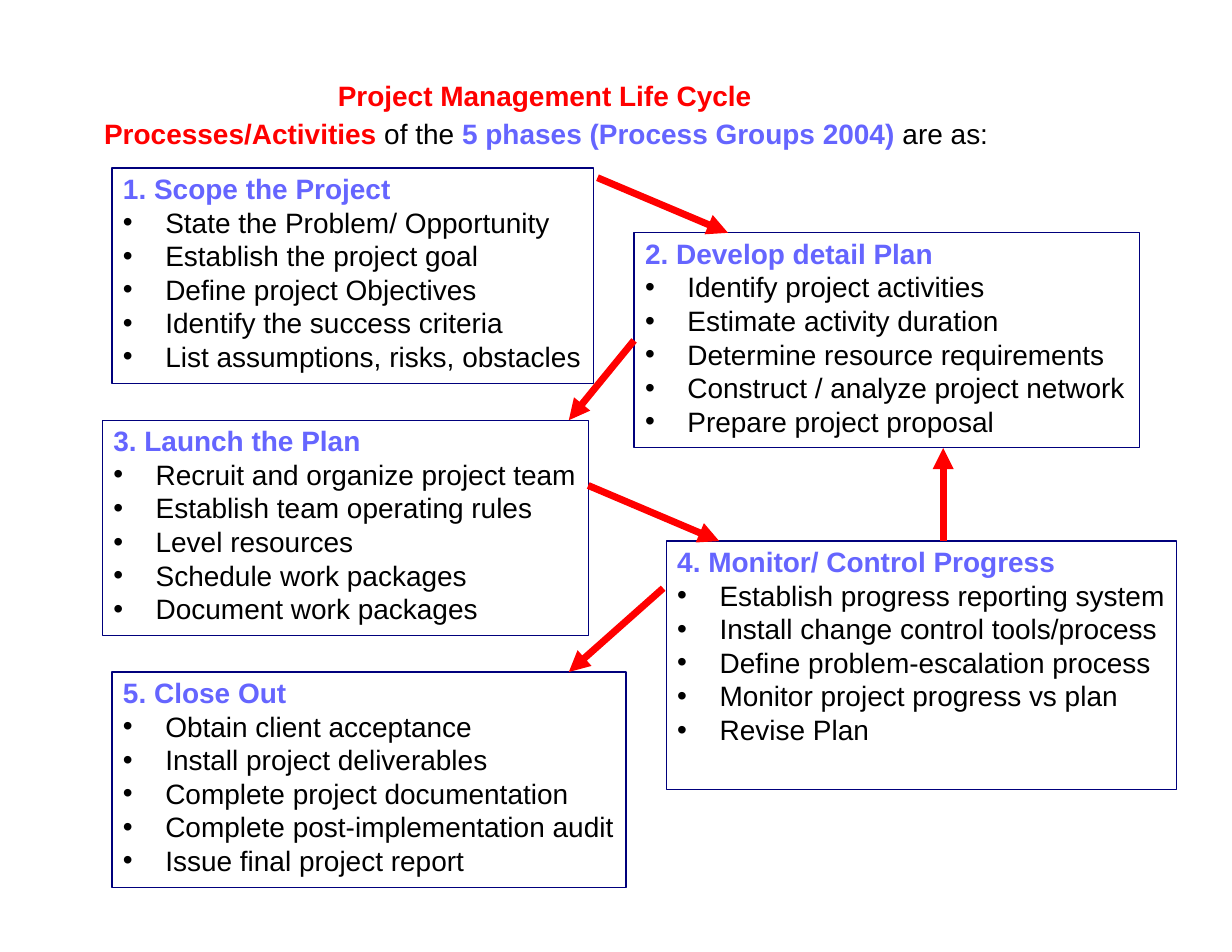
from dataclasses import dataclass

from lxml.etree import SubElement
from pptx import Presentation
from pptx.dml.color import RGBColor
from pptx.enum.shapes import MSO_CONNECTOR, MSO_SHAPE
from pptx.enum.text import MSO_ANCHOR, MSO_AUTO_SIZE, PP_ALIGN
from pptx.oxml.ns import qn
from pptx.util import Cm, Pt

RED, VIOLET, NAVY, BLACK = "FF0000", "6565FF", "00007C", "000000"
BULLET_INDENT = 0.96
BOX_HEIGHT = 4.88


@dataclass
class Phase:
    heading: str
    activities: list[str]
    left: float
    top: float
    width: float
    height: float = BOX_HEIGHT


@dataclass
class Arrow:
    start: tuple[float, float]
    end: tuple[float, float]
    from_phase: int | None = None
    side: int = 1


PHASES = [
    Phase("1. Scope the Project", [
        "State the Problem/ Opportunity",
        "Establish the project goal",
        "Define project Objectives",
        "Identify the success criteria",
        "List assumptions, risks, obstacles",
    ], 2.54, 3.81, 10.92),
    Phase("2. Develop detail Plan", [
        "Identify project activities",
        "Estimate activity duration",
        "Determine resource requirements",
        "Construct / analyze project network",
        "Prepare project proposal",
    ], 14.38, 5.28, 11.46),
    Phase("3. Launch the Plan", [
        "Recruit and organize project team",
        "Establish team operating rules",
        "Level resources",
        "Schedule work packages",
        "Document work packages",
    ], 2.32, 9.53, 11.03),
    Phase("4. Monitor/ Control Progress", [
        "Establish progress reporting system",
        "Install change control tools/process",
        "Define problem-escalation process",
        "Monitor project progress vs plan",
        "Revise Plan",
    ], 15.11, 12.27, 11.57, 5.64),
    Phase("5. Close Out", [
        "Obtain client acceptance",
        "Install project deliverables",
        "Complete project documentation",
        "Complete post-implementation audit",
        "Issue final project report",
    ], 2.54, 15.24, 11.66),
]

ARROWS = [
    Arrow((13.55, 4.03), (16.51, 5.28)),
    Arrow((14.38, 7.72), (12.9, 9.53), from_phase=1),
    Arrow((13.34, 11.01), (16.31, 12.27)),
    Arrow((15.04, 13.34), (12.9, 15.24)),
    Arrow((21.39, 12.27), (21.39, 10.16)),
]


def rgb(value: str) -> RGBColor:
    return RGBColor.from_string(value)


def add_run(paragraph, text: str, *, color=BLACK, bold=False) -> None:
    run = paragraph.add_run()
    run.text = text
    run.font.name = "Arial"
    run.font.size = Pt(18)
    run.font.bold = bold
    run.font.color.rgb = rgb(color)


def set_paragraph(paragraph, *, spacing: float, indent=0.0, first_line=0.0, bullet=False) -> None:
    properties = paragraph._p.get_or_add_pPr()
    properties.set("marL", str(Cm(indent)))
    properties.set("indent", str(Cm(first_line)))
    if bullet:
        SubElement(properties, qn("a:buFont")).set("typeface", "Arial")
        SubElement(properties, qn("a:buChar")).set("char", "•")
    paragraph.alignment = PP_ALIGN.LEFT
    paragraph.line_spacing = Pt(spacing)
    paragraph.space_before = Pt(0)


def set_frame(frame, *, left=0.0, top=0.0) -> None:
    frame.word_wrap = True
    frame.auto_size = MSO_AUTO_SIZE.NONE
    frame.vertical_anchor = MSO_ANCHOR.TOP
    frame.margin_left, frame.margin_top = Cm(left), Cm(top)
    frame.margin_right = frame.margin_bottom = 0


def fill_title(title) -> None:
    title.left, title.top, title.width, title.height = Cm(2.36), Cm(1.68), Cm(22), Cm(1.9)
    frame = title.text_frame
    set_frame(frame)
    heading = frame.paragraphs[0]
    set_paragraph(heading, spacing=24.4, first_line=5.3)
    add_run(heading, "Project Management Life Cycle", color=RED, bold=True)
    sentence = frame.add_paragraph()
    set_paragraph(sentence, spacing=24.4)
    add_run(sentence, "Processes/Activities ", color=RED, bold=True)
    add_run(sentence, "of the ")
    add_run(sentence, "5 phases (Process Groups 2004) ", color=VIOLET, bold=True)
    add_run(sentence, "are as:")


def add_phase(slide, phase: Phase):
    box = slide.shapes.add_shape(MSO_SHAPE.RECTANGLE, Cm(phase.left), Cm(phase.top),
                                 Cm(phase.width), Cm(phase.height))
    box.shadow.inherit = False
    box.fill.background()
    box.line.color.rgb = rgb(NAVY)
    box.line.width = Pt(0.75)
    frame = box.text_frame
    set_frame(frame, left=0.25, top=0.08)
    heading = frame.paragraphs[0]
    set_paragraph(heading, spacing=21.6)
    add_run(heading, phase.heading, color=VIOLET, bold=True)
    for activity in phase.activities:
        item = frame.add_paragraph()
        set_paragraph(item, spacing=21.6, indent=BULLET_INDENT,
                      first_line=-BULLET_INDENT, bullet=True)
        add_run(item, activity)
    return box


def add_arrow(slide, arrow: Arrow, boxes: list) -> None:
    connector = slide.shapes.add_connector(
        MSO_CONNECTOR.STRAIGHT, *map(Cm, arrow.start + arrow.end))
    if arrow.from_phase is not None:
        connector.begin_connect(boxes[arrow.from_phase], arrow.side)
    connector.line.color.rgb = rgb(RED)
    connector.line.width = Pt(4.5)
    SubElement(connector.line._get_or_add_ln(), qn("a:tailEnd")).set("type", "triangle")
    SubElement(connector._element.spPr, qn("a:effectLst"))


def main() -> None:
    presentation = Presentation()
    presentation.slide_width, presentation.slide_height = Cm(27.94), Cm(21.59)
    slide = presentation.slides.add_slide(presentation.slide_layouts[5])
    fill_title(slide.shapes.title)
    boxes = [add_phase(slide, phase) for phase in PHASES]
    for arrow in ARROWS:
        add_arrow(slide, arrow, boxes)
    presentation.save("out.pptx")


if __name__ == "__main__":
    main()
